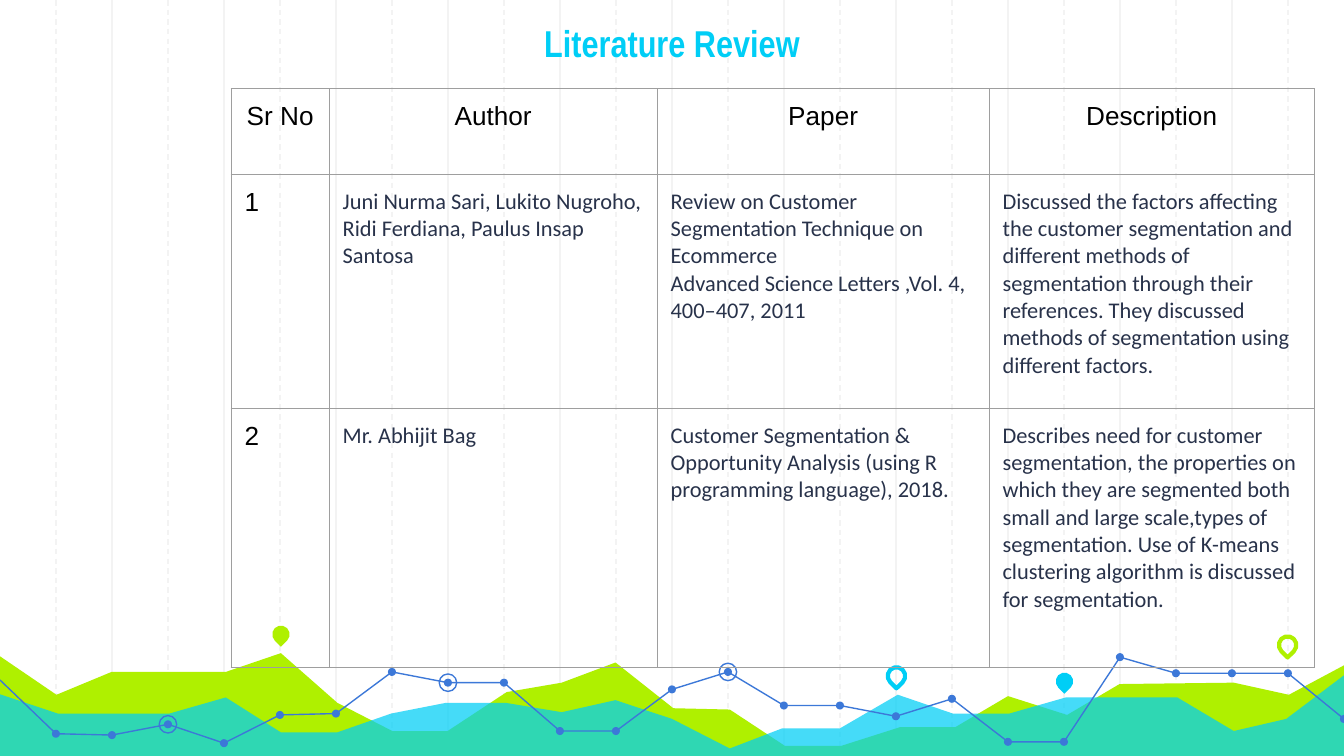
from dataclasses import dataclass
from typing import Any, NamedTuple, Optional

from lxml import etree
from pptx import Presentation
from pptx import util as u
from pptx.dml.color import RGBColor
from pptx.enum import dml, shapes, text
from pptx.oxml import ns


@dataclass(frozen=True)
class Theme:
    lime: str = "AFF000"
    cyan: str = "00CEF6"
    blue: str = "3C78D8"
    grid: str = "F3F3F3"
    border: str = "9E9E9E"
    black: str = "000000"
    navy: str = "28324A"
    title_size: int = 20
    head_size: int = 14
    body_size: int = 12
    hairline: float = 0.75
    pin_line: float = 2.25


class Area(NamedTuple):
    points: list[tuple[float, float]]
    color: str
    opacity: int


class Marker(NamedTuple):
    kind: Any
    x: float
    y: float
    size: float
    color: str
    line: Optional[float] = None
    rotation: int = 0


class Style(NamedTuple):
    font: dict[str, Any]
    color: str
    align: Any = text.PP_ALIGN.LEFT


T = Theme()
WIDTH = 10
HEIGHT = WIDTH * 9 / 16
STEP = WIDTH / 24
PIN = shapes.MSO_SHAPE.TEAR
DOT = shapes.MSO_SHAPE.OVAL

TITLE = Style({"name": "Arial Narrow", "size": u.Pt(T.title_size), "bold": True},
              T.cyan, text.PP_ALIGN.CENTER)
HEAD = Style({"name": "Arial", "size": u.Pt(T.head_size)}, T.black, text.PP_ALIGN.CENTER)
NUMBER = HEAD._replace(align=text.PP_ALIGN.LEFT)
BODY = Style({"name": "Calibri", "size": u.Pt(T.body_size)}, T.navy)

AREAS = [
    Area([(-0.02, 4.87), (0.42, 5.17), (0.83, 5), (1.68, 5), (2.09, 4.86), (2.51, 5.23),
          (2.92, 5.44), (3.33, 5.44), (3.77, 5.15), (4.18, 5.08), (4.58, 4.93),
          (5.01, 5.27), (5.43, 5.28), (5.84, 5.55), (6.26, 5.55), (6.7, 5.41),
          (7.11, 5.41), (7.5, 5.18), (7.94, 5.32), (8.33, 5.09), (9.18, 5.08),
          (9.59, 5.17), (10.02, 4.94), (10.01, 5.64), (-0.03, 5.64)], T.lime, 100),
    Area([(-0.02, 5.16), (0.43, 5.31), (1.26, 5.31), (1.68, 5.19), (2.09, 5.45),
          (2.51, 5.45), (2.91, 5.31), (3.32, 5.23), (3.76, 5.23), (4.18, 5.3),
          (4.58, 5.21), (5, 5.35), (5.43, 5.57), (5.82, 5.42), (6.25, 5.42),
          (6.68, 5.17), (7.09, 5.31), (7.51, 5.31), (7.93, 5.19), (8.76, 5.19),
          (9.18, 5.44), (9.57, 5.35), (10.02, 5.01), (10.02, 5.65), (-0.03, 5.65)],
         T.cyan, 73),
]
TREND = [5.06, 5.46, 5.47, 5.39, 5.53, 5.32, 5.31, 5, 5.08, 5.08, 5.44, 5.44, 5.13,
         5, 5.25, 5.25, 5.33, 5.2, 5.52, 5.52, 4.89, 5.01, 5.01, 5.01, 5.35]
TREND_POINTS = [(i * STEP, y) for i, y in enumerate(TREND)]
TREND_PARTS = [(0, 11), (11, 20), (20, 24)]
RINGED = [3, 8, 13]
PINS = [
    Marker(PIN, 2.09, 4.72, 0.13, T.lime, rotation=135),
    Marker(PIN, 6.67, 5.03, 0.13, T.cyan, T.pin_line, 135),
    Marker(PIN, 7.92, 5.07, 0.13, T.cyan, rotation=135),
    Marker(PIN, 9.58, 4.8, 0.13, T.lime, T.pin_line, 135),
]

COLUMNS = [0.73, 2.44, 2.47, 2.42]
ROWS = [0.64, 1.74, 1.93]
CELLS = [
    ["Sr No", "Author", "Paper", "Description"],
    ["1", "Juni Nurma Sari, Lukito Nugroho, Ridi Ferdiana, Paulus Insap Santosa",
     "Review on Customer Segmentation Technique on Ecommerce\n"
     "Advanced Science Letters ,Vol. 4, 400–407, 2011",
     "Discussed the factors affecting the customer segmentation and different methods "
     "of segmentation through their references. They discussed methods of segmentation "
     "using different factors."],
    ["2", "Mr. Abhijit Bag",
     "Customer Segmentation & Opportunity Analysis (using R programming language), 2018.",
     "Describes need for customer segmentation, the properties on which they are "
     "segmented both small and large scale,types of segmentation. Use of K-means "
     "clustering algorithm is discussed for segmentation."],
]


def assign(target: Any, values: dict[str, Any]) -> None:
    for name, value in values.items():
        setattr(target, name, value)


def paint(sp: Any, fill: Optional[str] = None, line: Optional[str] = None,
          width: float = T.hairline) -> None:
    sp.shadow.inherit = False
    for part, color in ((sp.fill, fill), (sp.line.fill, line)):
        if color:
            part.solid()
            part.fore_color.rgb = RGBColor.from_string(color)
        else:
            part.background()
    if line:
        sp.line.width = u.Pt(width)


def write(tf: Any, words: str, style: Style) -> None:
    for i, line in enumerate(words.split("\n")):
        p = tf.add_paragraph() if i else tf.paragraphs[0]
        p.alignment = style.align
        r = p.add_run()
        r.text = line
        assign(r.font, style.font)
        r.font.color.rgb = RGBColor.from_string(style.color)


def add_grid_line(s: Any, index: int) -> None:
    x = u.Inches(index * STEP)
    ln = s.shapes.add_connector(shapes.MSO_CONNECTOR.STRAIGHT, x, 0, x, u.Inches(HEIGHT))
    ln.line.color.rgb = RGBColor.from_string(T.grid)
    ln.line.width = u.Pt(T.hairline)
    if index % 2:
        ln.line.dash_style = dml.MSO_LINE.DASH
    etree.SubElement(ln._element.spPr, ns.qn("a:effectLst"))


def add_outline(s: Any, points: list[tuple[float, float]], close: bool) -> Any:
    start, *rest = [(u.Inches(x), u.Inches(y)) for x, y in points]
    fb = s.shapes.build_freeform(*start)
    fb.add_line_segments(rest, close=close)
    return fb.convert_to_shape()


def add_area(s: Any, area: Area) -> None:
    sp = add_outline(s, area.points, True)
    paint(sp, fill=area.color)
    if area.opacity < 100:
        clr = sp._element.spPr.find(".//" + ns.qn("a:srgbClr"))
        etree.SubElement(clr, ns.qn("a:alpha"), val=str(area.opacity * 1000))


def add_marker(s: Any, m: Marker) -> None:
    sp = s.shapes.add_shape(m.kind, u.Inches(m.x - m.size / 2), u.Inches(m.y - m.size / 2),
                            u.Inches(m.size), u.Inches(m.size))
    sp.rotation = m.rotation
    if m.line:
        paint(sp, line=m.color, width=m.line)
    else:
        paint(sp, fill=m.color)


def add_title(s: Any) -> None:
    tf = s.shapes.add_textbox(u.Inches(0.34), u.Inches(0.29),
                              u.Inches(9.32), u.Inches(0.63)).text_frame
    assign(tf, {"word_wrap": True, "vertical_anchor": text.MSO_ANCHOR.BOTTOM,
                "margin_top": 0, "margin_bottom": u.Inches(0.54)})
    write(tf, "Literature Review", TITLE)


def add_border(cell: Any) -> None:
    tc_pr = cell._tc.get_or_add_tcPr()
    for i, side in enumerate(("lnL", "lnR", "lnT", "lnB")):
        ln = etree.Element(ns.qn("a:" + side), w=str(u.Pt(T.hairline)))
        fill = etree.SubElement(ln, ns.qn("a:solidFill"))
        etree.SubElement(fill, ns.qn("a:srgbClr"), val=T.border)
        tc_pr.insert(i, ln)


def add_review_table(s: Any) -> None:
    tb = s.shapes.add_table(len(ROWS), len(COLUMNS), u.Inches(1.72), u.Inches(0.66),
                            u.Inches(sum(COLUMNS)), u.Inches(sum(ROWS))).table
    assign(tb, {"first_row": False, "horz_banding": False})
    for column, width in zip(tb.columns, COLUMNS):
        column.width = u.Inches(width)
    sides = ("left", "right", "top", "bottom")
    for i, (row, height) in enumerate(zip(tb.rows, ROWS)):
        row.height = u.Inches(height)
        for j, cell in enumerate(row.cells):
            assign(cell, {f"margin_{side}": u.Inches(0.1) for side in sides})
            cell.fill.background()
            add_border(cell)
            write(cell.text_frame, CELLS[i][j], HEAD if i == 0 else BODY if j else NUMBER)


def main() -> None:
    prs = Presentation()
    assign(prs, {"slide_width": u.Inches(WIDTH), "slide_height": u.Inches(HEIGHT)})
    s = prs.slides.add_slide(prs.slide_layouts[6])
    for index in range(1, 24):
        add_grid_line(s, index)
    for area in AREAS:
        add_area(s, area)
    for first, last in TREND_PARTS:
        paint(add_outline(s, TREND_POINTS[first:last + 1], False), line=T.blue)
    dots = [Marker(DOT, x, y, 0.06, T.blue) for x, y in TREND_POINTS[1:]]
    rings = [Marker(DOT, *TREND_POINTS[i], 0.13, T.blue, T.hairline) for i in RINGED]
    for marker in dots + rings + PINS:
        add_marker(s, marker)
    add_title(s)
    add_review_table(s)
    prs.save("out.pptx")


if __name__ == "__main__":
    main()
